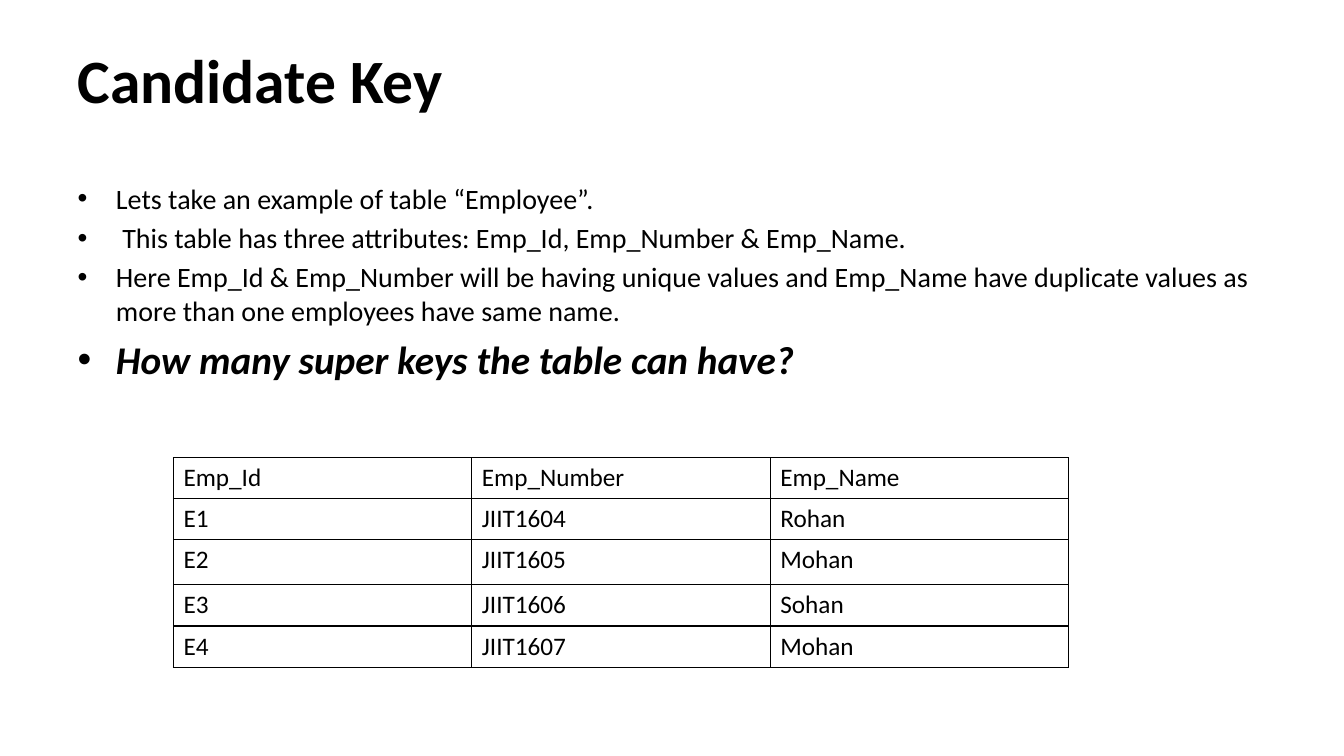
from lxml import etree
from pptx import Presentation, util as u
from pptx.dml.color import RGBColor
from pptx.enum import text
from pptx.oxml.ns import qn

THEME = {
    "font": "Calibri", "ink": "000000", "border": 1,
    "title": 44, "point": 20, "question": 28, "cell": 18,
}
INK = RGBColor.from_string(THEME["ink"])


def style(font, role, **extra):
    values = {"name": THEME["font"], "size": u.Pt(THEME[role]), **extra}
    for name, value in values.items():
        setattr(font, name, value)
    font.color.rgb = INK


def place(part, left, top, width, height):
    box = {"left": left, "top": top, "width": width, "height": height}
    for name, value in box.items():
        setattr(part, name, u.Inches(value))


deck = Presentation()
deck.slide_width, deck.slide_height = u.Inches(13.33), u.Inches(7.5)
slide = deck.slides.add_slide(deck.slide_layouts[1])
heading, points = slide.placeholders
margin, content_width = 0.67, 12

# Heading
place(heading, margin, 0.3, content_width, 0.97)
heading.text_frame.text = "Candidate Key"
heading.text_frame.vertical_anchor = text.MSO_ANCHOR.MIDDLE
heading_line = heading.text_frame.paragraphs[0]
heading_line.alignment = text.PP_ALIGN.LEFT
style(heading_line.runs[0].font, "title", bold=True)

# Bullet points, ending with the question
emphasis = {"bold": True, "italic": True}
statements = [
    ("Lets take an example of table “Employee”.", "point", {}),
    (" This table has three attributes: Emp_Id, Emp_Number & Emp_Name.", "point", {}),
    ("Here Emp_Id & Emp_Number will be having unique values and Emp_Name have "
     "duplicate values as more than one employees have same name.", "point", {}),
    ("How many super keys the table can have?", "question", emphasis),
]
place(points, margin, 1.75, content_width, 4.95)
points.text_frame.auto_size = text.MSO_AUTO_SIZE.NONE
points.text_frame.text = "\n".join(words for words, _, _ in statements)
indent = u.Inches(0.38)
for i, (_, role, extra) in enumerate(statements):
    point = points.text_frame.paragraphs[i]
    point.space_before = u.Pt(0.2 * THEME[role] if i else 0)
    props = point._p.get_or_add_pPr()
    props.set("marL", str(indent))
    props.set("indent", str(-indent))
    etree.SubElement(props, qn("a:buChar"), char="•")
    style(point.runs[0].font, role, **extra)
    style(point.font, role, **extra)

# Employee table
employees = [
    ("Emp_Id", "Emp_Number", "Emp_Name"),
    ("E1", "JIIT1604", "Rohan"),
    ("E2", "JIIT1605", "Mohan"),
    ("E3", "JIIT1606", "Sohan"),
    ("E4", "JIIT1607", "Mohan"),
]
row_heights = [0.4, 0.4, 0.45, 0.41, 0.41]
column_width = 2.96
employee_table = slide.shapes.add_table(
    len(employees), len(employees[0]), u.Inches(1.72), u.Inches(4.54),
    u.Inches(column_width * len(employees[0])), u.Inches(sum(row_heights))).table
employee_table.first_row = employee_table.horz_banding = False
for column in employee_table.columns:
    column.width = u.Inches(column_width)
for row, height, record in zip(employee_table.rows, row_heights, employees):
    row.height = u.Inches(height)
    for cell, value in zip(row.cells, record):
        cell.text = value
        style(cell.text_frame.paragraphs[0].runs[0].font, "cell")
        # Thin border on all four sides, no fill
        cell_props = cell._tc.get_or_add_tcPr()
        for side in ("a:lnL", "a:lnR", "a:lnT", "a:lnB"):
            edge = etree.SubElement(cell_props, qn(side), w=str(u.Pt(THEME["border"])))
            paint = etree.SubElement(edge, qn("a:solidFill"))
            etree.SubElement(paint, qn("a:srgbClr"), val=THEME["ink"])
        cell.fill.background()

deck.save("out.pptx")
